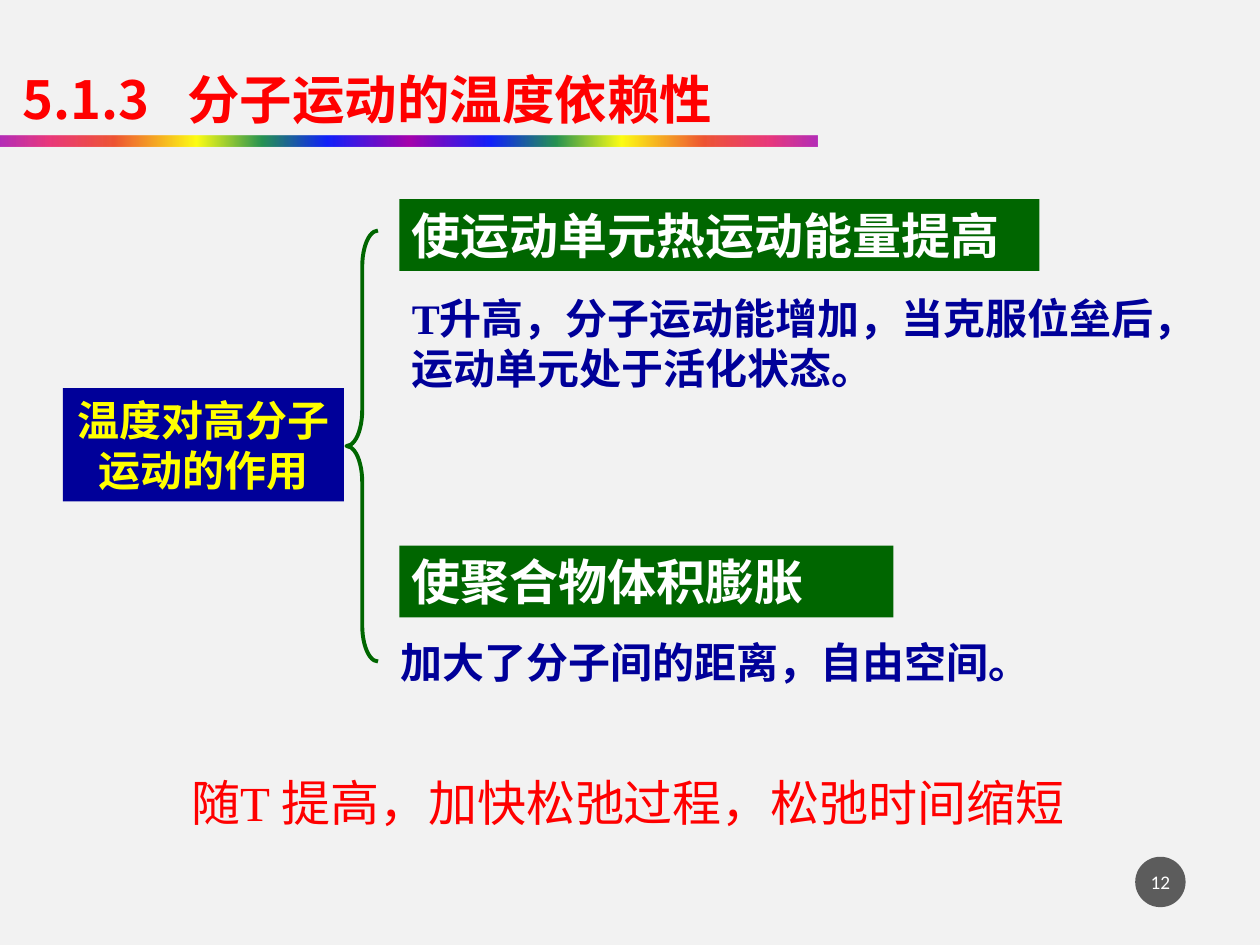
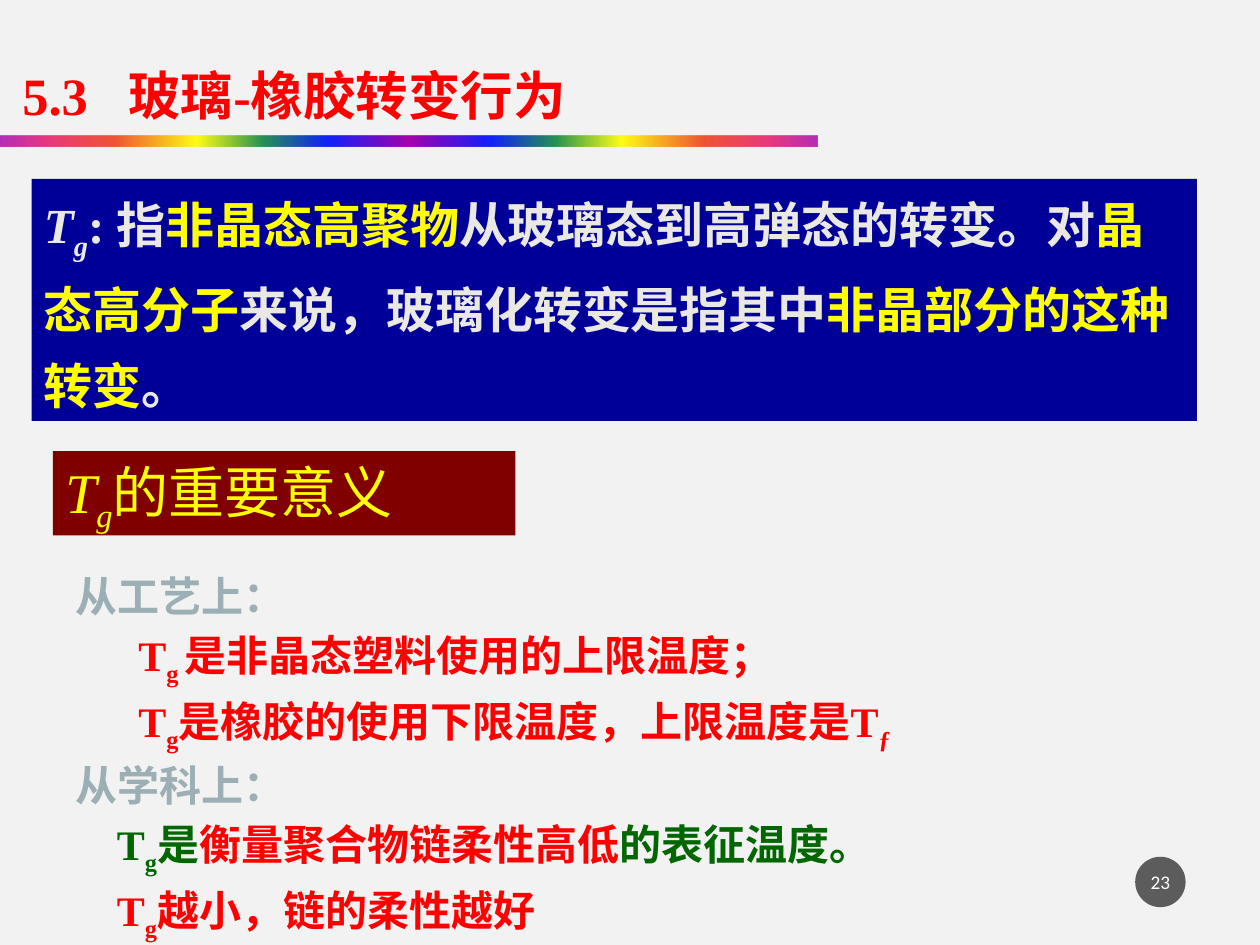
"""Builds two lecture slides on molecular motion and the glass transition of polymers."""
from lxml import etree
from pptx import Presentation
from pptx import util as u
from pptx.dml.color import RGBColor
from pptx.enum import shapes, text
from pptx.oxml.ns import qn

GRID = 12
COLUMNS, ROWS = 120, 90
CJK, SERIF, SANS = "Noto Sans CJK SC", "Times New Roman", "Calibri"
PAPER, NAVY, GREEN, MAROON = "F2F2F2", "000099", "006600", "800000"
RED, YELLOW, WHITE, IVORY, GREY = "FF0000", "FFFF00", "FFFFFF", "EAE8E2", "9BAFB5"
BADGE = "1D1D1D"

HALF_RAINBOW = [(0, "A603AB", 82), (6, "E81766", 84), (14, "EE3F17", 87),
                (24, "FFFF00", 91), (32, "1A8D48", 94), (40, "0819FB", 96)]
RAINBOW = (HALF_RAINBOW + [(50, "A603AB", 100)]
           + [(100 - position, color, alpha) for position, color, alpha in reversed(HALF_RAINBOW)])

TEMPERATURE = {
    "title": "5.1.3\t分子运动的温度依赖性", "title_top": 4, "title_font": CJK, "title_tab": 1.31,
    "number": "12",
    "cause": "温度对高分子运动的作用",
    "effects": [
        ("使运动单元热运动能量提高", (38, 19, 61, 6.8),
         "T升高，分子运动能增加，当克服位垒后，运动单元处于活化状态。", (38, 27.2, 76.7, 10.8)),
        ("使聚合物体积膨胀", (38, 52, 47, 6.8),
         "加大了分子间的距离，自由空间。", (37, 60, 69, 6)),
    ],
    "conclusion": "随T 提高，加快松弛过程，松弛时间缩短",
}

GLASS = {
    "title": "5.3\t玻璃-橡胶转变行为", "title_top": 3.6, "title_font": SERIF, "title_tab": 0.84,
    "number": "23",
    "definition": [
        ("T", IVORY, "i"), ("g", IVORY, "is"), (": 指", IVORY), ("非晶态高聚物", YELLOW),
        ("从玻璃态到高弹态的转变。对", IVORY), ("晶态高分子", YELLOW),
        ("来说，玻璃化转变是指其中", IVORY), ("非晶部分的这种转变", YELLOW), ("。", IVORY)],
    "heading": [("T", YELLOW, "i"), ("g", YELLOW, "is"), ("的重要意义", YELLOW)],
    "meanings": [
        (53, 0.5, [
            [("从工艺上：", GREY)],
            [("T", RED), ("g ", RED, "s"), ("是非晶态塑料使用的上限温度；", RED)],
            [("T", RED), ("g", RED, "s"), ("是橡胶的使用下限温度，上限温度是T", RED), ("ƒ", RED, "s")]]),
        (71, 0.33, [
            [("从学科上：", GREY)],
            [("T", GREEN), ("g", GREEN, "s"), ("是", GREEN), ("衡量聚合物链柔性高低", RED),
             ("的表征温度。", GREEN)],
            [("T", RED), ("g", RED, "s"), ("越小，链的柔性越好", RED)]]),
    ],
}


def rgb(color):
    return RGBColor.from_string(color)


def place(box):
    return [u.Inches(round(cells / GRID, 2)) for cells in box]


def add_alpha(color_element, percent):
    etree.SubElement(color_element, qn("a:alpha")).set("val", str(percent * 1000))


def add_block(slide, box, color=None, kind=shapes.MSO_SHAPE.RECTANGLE):
    shape = slide.shapes.add_shape(kind, *place(box))
    shape.shadow.inherit = False
    shape.line.fill.background()
    if color:
        shape.fill.solid()
        shape.fill.fore_color.rgb = rgb(color)
    else:
        shape.fill.background()
    return shape


def write(shape, paragraphs, size=24, font=SERIF, bold=True, align="LEFT", anchor="TOP",
          spacing=None, indent=0, tab=None):
    """Fills a shape with paragraphs made of (text, colour, flags) runs."""
    frame = shape.text_frame
    frame.word_wrap = True
    frame.vertical_anchor = text.MSO_ANCHOR[anchor]
    for index, runs in enumerate(paragraphs):
        paragraph = frame.paragraphs[0] if index == 0 else frame.add_paragraph()
        properties = paragraph._p.get_or_add_pPr()
        if tab:
            stops = etree.SubElement(properties, qn("a:tabLst"))
            etree.SubElement(stops, qn("a:tab"), pos=str(u.Inches(tab)), algn="l")
        if indent and index:
            properties.set("marL", str(u.Inches(indent)))
        paragraph.alignment = text.PP_ALIGN[align]
        if spacing:
            paragraph.line_spacing = spacing
        for words, color, *flags in runs:
            style = "".join(flags)
            run = paragraph.add_run()
            run.text = words
            run.font.size = u.Pt(size)
            run.font.name = font
            run.font.bold = bold
            run.font.italic = "i" in style
            run.font.color.rgb = rgb(color)
            run_properties = run._r.get_or_add_rPr()
            if "s" in style:
                run_properties.set("baseline", "-25000")
            etree.SubElement(run_properties, qn("a:ea")).set("typeface", CJK)


def add_text(slide, box, paragraphs, **style):
    write(slide.shapes.add_textbox(*place(box)), paragraphs, **style)


def add_rainbow(slide):
    band = add_block(slide, (0, 13, 77.9, 1))
    band.fill.gradient()
    band.fill.gradient_angle = 0
    stops = band._element.spPr.find(qn("a:gradFill")).find(qn("a:gsLst"))
    for stop in list(stops):
        stops.remove(stop)
    for position, color, alpha in RAINBOW:
        stop = etree.SubElement(stops, qn("a:gs"), pos=str(position * 1000))
        add_alpha(etree.SubElement(stop, qn("a:srgbClr"), val=color), alpha)


def add_page(presentation, content):
    slide = presentation.slides.add_slide(presentation.slide_layouts[6])
    slide.background.fill.solid()
    slide.background.fill.fore_color.rgb = rgb(PAPER)
    add_rainbow(slide)
    add_text(slide, (1, content["title_top"], 76, 9), [[(content["title"], RED)]],
             size=30, font=content["title_font"], spacing=1.3, tab=content["title_tab"])
    badge = add_block(slide, (108.1, 81.6, 4.8, 4.8), BADGE, shapes.MSO_SHAPE.OVAL)
    add_alpha(badge._element.spPr.find(qn("a:solidFill"))[0], 70)
    badge.text_frame.margin_left = badge.text_frame.margin_right = u.Inches(0.02)
    write(badge, [[(content["number"], WHITE)]], size=11, font=SANS, bold=False,
          align="CENTER", anchor="MIDDLE")
    return slide


def build_temperature(presentation, content):
    slide = add_page(presentation, content)
    cause = add_block(slide, (6, 37, 26.8, 10.8), NAVY)
    write(cause, [[(content["cause"], YELLOW)]], font=CJK, align="CENTER")
    brace = add_block(slide, (33, 22, 3, 41), kind=shapes.MSO_SHAPE.LEFT_BRACE)
    brace.adjustments[0] = 1.14
    brace.line.color.rgb = rgb(GREEN)
    brace.line.width = u.Pt(2.25)
    for heading, heading_box, detail, detail_box in content["effects"]:
        write(add_block(slide, heading_box, GREEN), [[(heading, WHITE)]], size=28, font=CJK)
        add_text(slide, detail_box, [[(detail, NAVY)]])
    add_text(slide, (17, 73, 86.5, 6.8), [[(content["conclusion"], RED)]], size=28, bold=False)


def build_glass(presentation, content):
    slide = add_page(presentation, content)
    write(add_block(slide, (3, 17, 111, 23), NAVY), [content["definition"]],
          size=28, anchor="BOTTOM", spacing=1.3)
    write(add_block(slide, (5, 43, 44, 8), MAROON), [content["heading"]], size=32, bold=False)
    for top, indent, paragraphs in content["meanings"]:
        add_text(slide, (6, top, 106, 17.8), paragraphs,
                 align="JUSTIFY", spacing=1.15, indent=indent)


def main():
    presentation = Presentation()
    presentation.slide_width = u.Inches(COLUMNS / GRID)
    presentation.slide_height = u.Inches(ROWS / GRID)
    build_temperature(presentation, TEMPERATURE)
    build_glass(presentation, GLASS)
    presentation.save("out.pptx")


if __name__ == "__main__":
    main()
